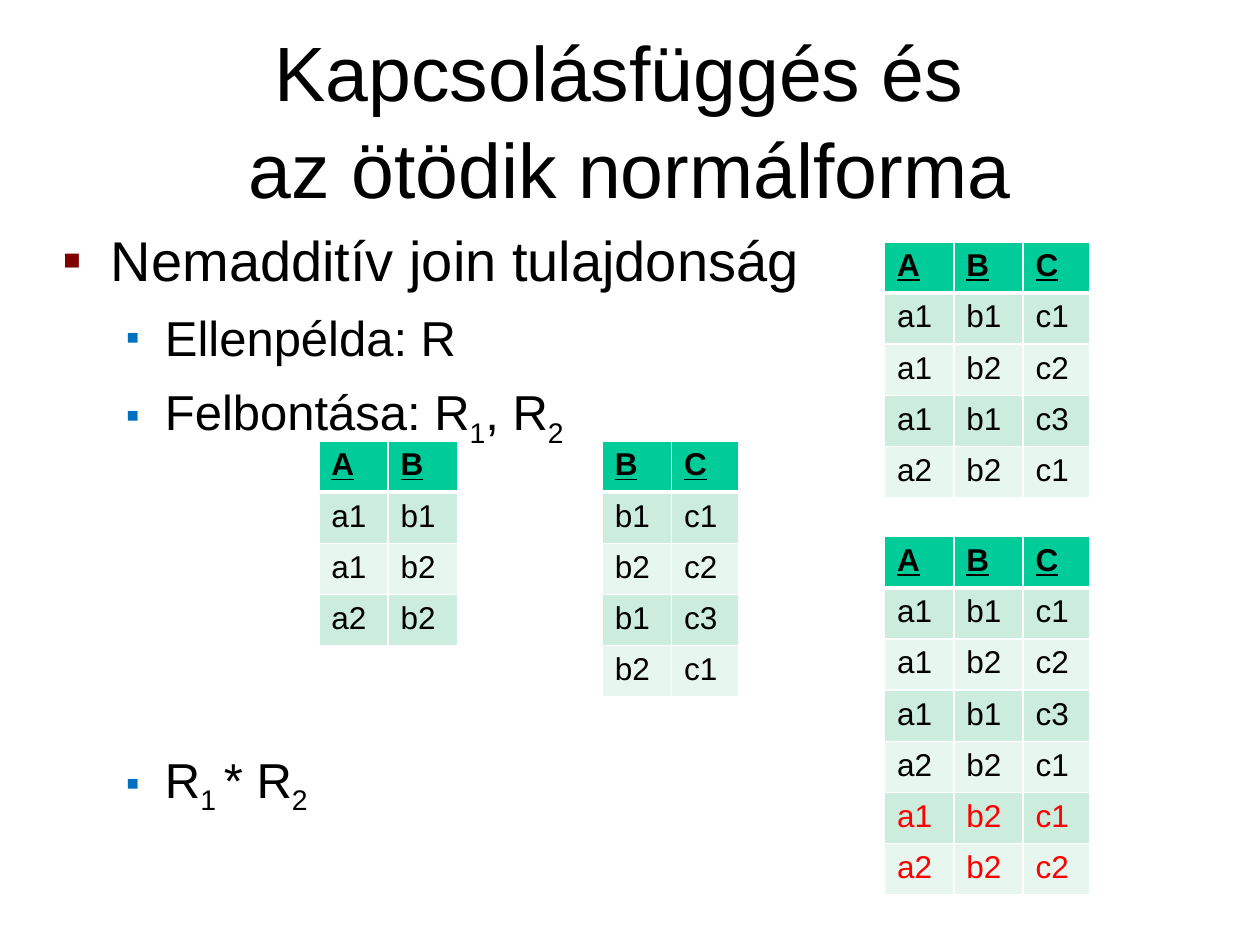
from lxml.etree import SubElement
from pptx import Presentation
from pptx.dml.color import RGBColor
from pptx.enum.text import MSO_ANCHOR, PP_ALIGN
from pptx.oxml import parse_xml
from pptx.oxml.ns import nsdecls, qn
from pptx.util import Inches, Pt

MIDDLE = MSO_ANCHOR.MIDDLE
CENTER = PP_ALIGN.CENTER

BLACK = RGBColor(0x00, 0x00, 0x00)
WHITE = RGBColor(0xFF, 0xFF, 0xFF)
RED = RGBColor(0xFF, 0x00, 0x00)
MAROON = RGBColor(0x80, 0x00, 0x00)
BLUE = RGBColor(0x00, 0x70, 0xC0)
GREEN = RGBColor(0x00, 0xCC, 0x99)
MINT = RGBColor(0xCC, 0xEC, 0xDE)
PALE = RGBColor(0xE7, 0xF6, 0xEF)

GRID = 0.1
ROW = 4.06
WIDTHS = {"A": 5.5, "B": 5.5, "C": 5.3}
FULL = ["a1 b1 c1", "a1 b2 c2", "a1 b1 c3", "a2 b2 c1"]


def unit(count):
    return Inches(count * GRID)


class Deck:
    face = "Arial"
    lead = 1.05

    def __init__(self):
        self.file = Presentation()
        self.file.slide_width = unit(100)
        self.file.slide_height = unit(75)
        self.slide = self.file.slides.add_slide(self.file.slide_layouts[6])

    def style(self, para, size, color=BLACK):
        para.font.name = self.face
        para.font.size = Pt(size)
        para.font.color.rgb = color

    def frame(self, left, top, width, height):
        box = self.slide.shapes.add_textbox(*map(unit, (left, top, width, height)))
        frame = box.text_frame
        frame.word_wrap = True
        frame.margin_left = frame.margin_right = 0
        frame.margin_top = frame.margin_bottom = 0
        return frame

    def title(self, text, *place):
        frame = self.frame(*place)
        frame.vertical_anchor = MIDDLE
        para = frame.paragraphs[0]
        para.text = text
        para.alignment = CENTER
        para.line_spacing = self.lead
        self.style(para, 44)

    def bullet(self, para, level, color, share, indent, hang):
        para.level = level
        props = para._p.get_or_add_pPr()
        props.set("marL", str(unit(indent)))
        props.set("indent", str(-unit(hang)))
        tint = SubElement(props, qn("a:buClr"))
        SubElement(tint, qn("a:srgbClr"), val=str(color))
        SubElement(props, qn("a:buSzPct"), val=str(share * 1000))
        SubElement(props, qn("a:buFont"), typeface=self.face)
        SubElement(props, qn("a:buChar"), char="▪")

    def body(self, items, *place):
        frame = self.frame(*place)
        for index, (level, gap, parts) in enumerate(items):
            para = frame.add_paragraph() if index else frame.paragraphs[0]
            para.line_spacing = self.lead
            para.space_before = Pt(gap)
            if level:
                self.bullet(para, level, BLUE, 80, 8.1, 3.1)
            else:
                self.bullet(para, level, MAROON, 100, 3.8, 3.8)
            self.style(para, 28 if level else 32)
            for spot, part in enumerate(parts):
                run = para.add_run()
                run.text = part
                if spot % 2:
                    run._r.get_or_add_rPr().set("baseline", "-25000")

    def border(self, cell, head):
        props = cell._tc.get_or_add_tcPr()
        for index, side in enumerate("LRTB"):
            width = 3 if head and side == "B" else 1
            props.insert(index, parse_xml(
                f'<a:ln{side} {nsdecls("a")} w="{Pt(width)}"><a:solidFill>'
                f'<a:srgbClr val="{WHITE}"/></a:solidFill></a:ln{side}>'))

    def table(self, left, top, heads, rows, extra=()):
        lines = [list(heads)] + [row.split() for row in [*rows, *extra]]
        widths = [WIDTHS[name] for name in heads]
        shape = self.slide.shapes.add_table(
            len(lines), len(heads), unit(left), unit(top),
            unit(sum(widths)), unit(ROW * len(lines)))
        grid = shape.table
        for column, width in zip(grid.columns, widths):
            column.width = unit(width)
        for index, line in enumerate(lines):
            grid.rows[index].height = unit(ROW)
            head = index == 0
            for spot, text in enumerate(line):
                cell = grid.cell(index, spot)
                cell.fill.solid()
                cell.fill.fore_color.rgb = GREEN if head else (PALE, MINT)[index % 2]
                self.border(cell, head)
                para = cell.text_frame.paragraphs[0]
                para.text = text
                self.style(para, 18, RED if index > len(rows) else BLACK)
                para.font.bold = para.font.underline = head


def main():
    deck = Deck()
    deck.title("Kapcsolásfüggés és \vaz ötödik normálforma", 5, 3, 90, 12.5)
    deck.body([
        (0, 8, ["Nemadditív join tulajdonság"]),
        (1, 7, ["Ellenpélda: R"]),
        (1, 7, ["Felbontása: R", "1", ", R", "2"]),
        (1, 170, ["R", "1 ", "* R", "2"]),
    ], 5, 17.6, 90, 49.5)
    deck.table(70.2, 19.2, "ABC", FULL)
    deck.table(25.3, 35, "AB", ["a1 b1", "a1 b2", "a2 b2"])
    deck.table(47.8, 35, "BC", [row[3:] for row in FULL])
    deck.table(70.2, 42.6, "ABC", FULL, ["a1 b2 c1", "a2 b2 c2"])
    deck.file.save("out.pptx")


if __name__ == "__main__":
    main()
